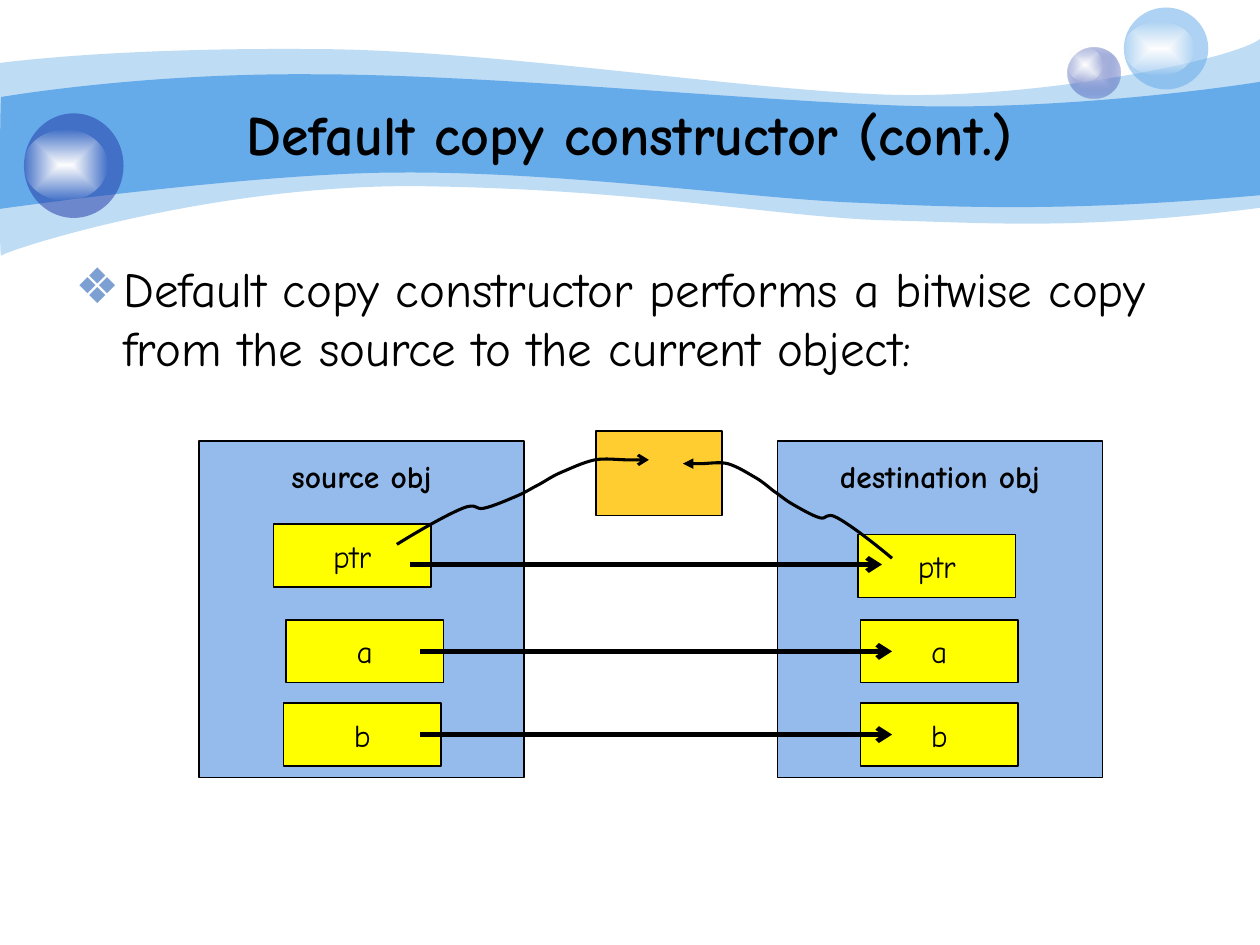
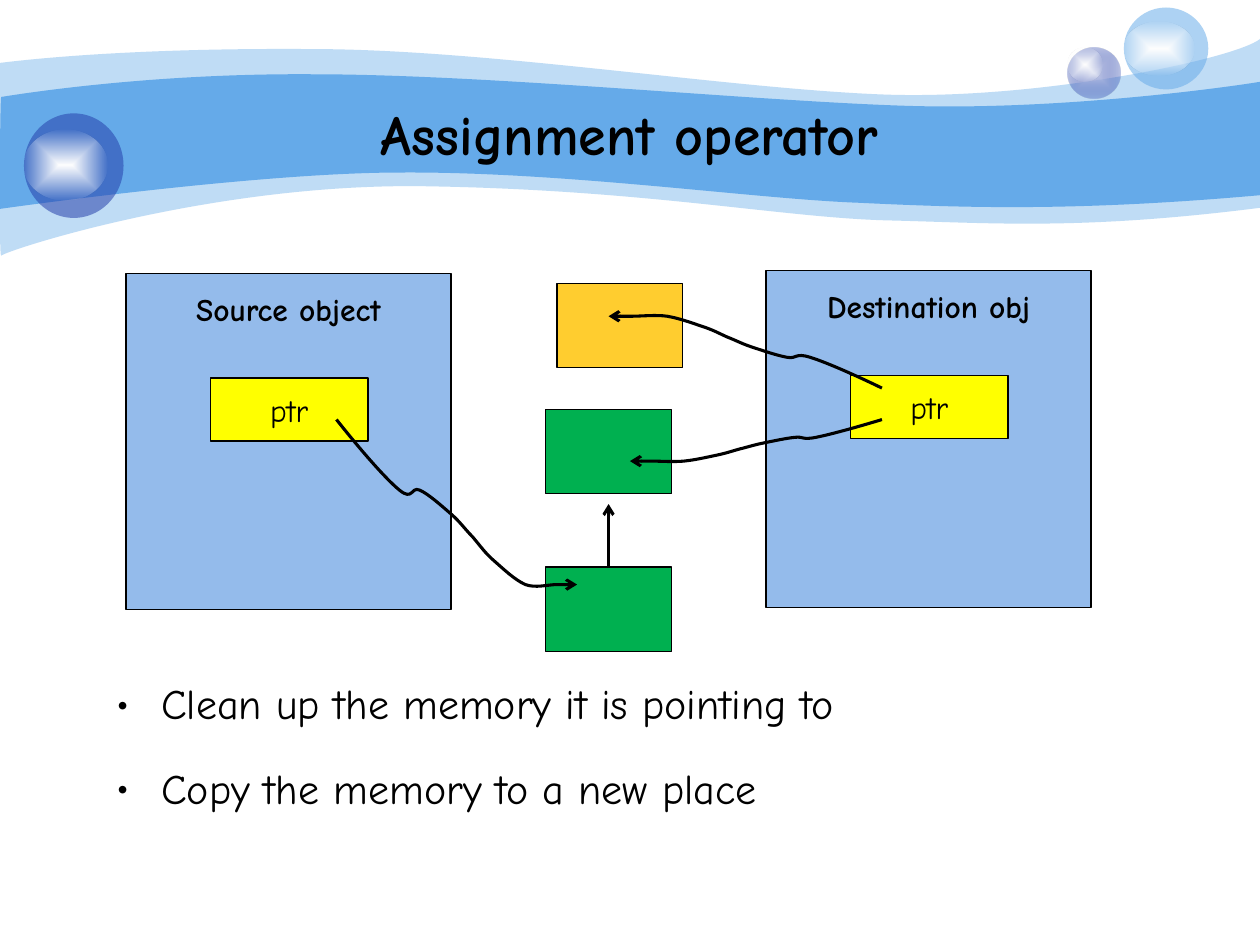
"""Build two slides on copying objects that hold a pointer."""
import dataclasses
import typing

import pptx
import pptx.dml.color
import pptx.enum.shapes
import pptx.enum.text
import pptx.oxml
import pptx.oxml.ns
import pptx.util

Inches = pptx.util.Inches
Pt = pptx.util.Pt
qn = pptx.oxml.ns.qn
SHAPES = pptx.enum.shapes.MSO_SHAPE
ALIGN = pptx.enum.text.PP_ALIGN
ANCHOR = pptx.enum.text.MSO_ANCHOR
Point = tuple[float, float]

COLORS = {
    "ink": "000000",
    "sky": "65AAE9",
    "navy": "233DA9",
    "lilac": "C7CEE9",
    "white": "FFFFFF",
    "object": "94BBEB",
    "field": "FFFF00",
    "old_memory": "FFCD2F",
    "new_memory": "00B050",
    "diamond": "7DA0D3",
}
FONT = "Comic Neue"
FONTS = {
    "title": {"name": FONT, "size": Pt(32), "bold": True},
    "body": {"name": FONT, "size": Pt(28), "bold": False},
    "step": {"name": FONT, "size": Pt(24), "bold": False},
    "object": {"name": FONT, "size": Pt(18), "bold": True},
    "field": {"name": FONT, "size": Pt(18), "bold": False},
}
FRAMES = {
    "title": {"word_wrap": True, "vertical_anchor": ANCHOR.MIDDLE},
    "body": {"word_wrap": True, "vertical_anchor": ANCHOR.TOP},
    "step": {"word_wrap": True, "vertical_anchor": ANCHOR.TOP},
    "object": {"word_wrap": False, "vertical_anchor": ANCHOR.TOP, "margin_top": Inches(0.13)},
    "field": {"word_wrap": False, "vertical_anchor": ANCHOR.MIDDLE},
}
BOX_SIZES = {
    "object": (2.58, 2.67),
    "field": (1.25, 0.5),
    "old_memory": (1, 0.67),
    "new_memory": (1, 0.67),
}

PALE_WAVE = (
    [(0, 0.5), (0.24, 0.47), (1.07, 0.38), (2.47, 0.39), (3.86, 0.39), (5.75, 0.7),
     (6.99, 0.75), (8.22, 0.8), (9.8, 0.47), (10, 0.31)],
    [(10, 1.65), (8.58, 1.83), (7.87, 1.77), (7.05, 1.75), (6.22, 1.73), (5.15, 1.51),
     (3.43, 1.48), (1.72, 1.44), (0.04, 1.99), (0.01, 2.03), (-0.01, 2.08), (0, 0.75),
     (0, 0.5)],
)
BRIGHT_WAVE = (
    [(0.01, 0.77), (0.02, 0.77), (1.1, 0.58), (2.48, 0.59), (3.86, 0.59), (5.95, 0.8),
     (7.18, 0.84), (8.41, 0.88), (9.76, 0.69), (10, 0.65)],
    [(10, 1.55), (8.53, 1.68), (7.65, 1.65), (6.82, 1.61), (5.99, 1.58), (4.47, 1.36),
     (3.17, 1.37), (2.03, 1.37), (-0.02, 1.66), (-0.01, 1.66), (0, 1.66), (0, 0.77),
     (0.01, 0.77)],
)
SQUIGGLE = [
    (0, 0), (0.19, 0.24), (0.39, 0.47), (0.5, 0.56), (0.61, 0.65), (0.59, 0.53),
    (0.66, 0.56), (0.73, 0.59), (0.84, 0.69), (0.91, 0.75), (0.98, 0.81), (1.02, 0.87),
    (1.08, 0.93), (1.14, 1), (1.18, 1.06), (1.25, 1.12), (1.32, 1.18), (1.41, 1.27),
    (1.5, 1.31), (1.58, 1.34), (1.68, 1.31), (1.75, 1.31), (1.82, 1.31), (1.86, 1.31),
    (1.91, 1.31),
]


@dataclasses.dataclass(frozen=True)
class Box:
    role: str
    left: float
    top: float
    label: str = ""


@dataclasses.dataclass(frozen=True)
class Pointer:
    start: Point
    end: Point
    head: str = "arrow"


@dataclasses.dataclass(frozen=True)
class Stop:
    color: str
    alpha: int


@dataclasses.dataclass(frozen=True)
class Bubble:
    left: float
    top: float
    width: float
    height: float
    stops: tuple[Stop, ...]


GLOW = (Stop("white", 100), Stop("white", 0))
BUBBLES = [
    Bubble(8.47, 0.38, 0.42, 0.4, (Stop("lilac", 100), Stop("navy", 31))),
    Bubble(8.47, 0.38, 0.28, 0.27, GLOW),
    Bubble(8.92, 0.06, 0.67, 0.65, (Stop("sky", 53),)),
    Bubble(8.92, 0.17, 0.56, 0.43, GLOW),
    Bubble(0.19, 0.9, 0.79, 0.83, (Stop("navy", 53),)),
    Bubble(0.19, 1.03, 0.66, 0.56, GLOW),
]


def rgb(name: str) -> pptx.dml.color.RGBColor:
    return pptx.dml.color.RGBColor.from_string(COLORS[name])


def apply(target: typing.Any, values: dict[str, typing.Any]) -> None:
    for name, value in values.items():
        setattr(target, name, value)


def xml(tag: str, attributes: str = "", content: str = "") -> typing.Any:
    namespace = pptx.oxml.ns.nsdecls("a")
    return pptx.oxml.parse_xml(f"<a:{tag} {namespace} {attributes}>{content}</a:{tag}>")


def color_xml(stop: Stop) -> str:
    return f'<a:srgbClr val="{COLORS[stop.color]}"><a:alpha val="{stop.alpha * 1000}"/></a:srgbClr>'


def fill_translucent(shape: typing.Any, stops: tuple[Stop, ...]) -> None:
    shape.shadow.inherit = False
    shape.line.fill.background()
    shape.fill.background()
    if len(stops) == 1:
        paint = xml("solidFill", content=color_xml(stops[0]))
    else:
        ramp = "".join(
            f'<a:gs pos="{position}">{color_xml(stop)}</a:gs>'
            for position, stop in zip((0, 100000), stops)
        )
        center = '<a:fillToRect l="50000" t="50000" r="50000" b="50000"/>'
        paint = xml("gradFill", 'rotWithShape="1"',
                    f'<a:gsLst>{ramp}</a:gsLst><a:path path="rect">{center}</a:path>')
    properties = shape.element.spPr
    properties.replace(properties.find(qn("a:noFill")), paint)


def add_curves(slide: typing.Any, chains: typing.Sequence[list[Point]], close: bool) -> typing.Any:
    corners = [(Inches(x), Inches(y)) for chain in chains for x, y in chain]
    builder = slide.shapes.build_freeform(*corners[0], scale=1.0)
    builder.add_line_segments(corners[1:], close=close)
    outline = builder.convert_to_shape()
    segments = outline.element.findall(".//" + qn("a:lnTo"))
    offset = 0
    for chain in chains:
        for first in range(offset, offset + len(chain) - 1, 3):
            bend = xml("cubicBezTo")
            segments[first].addprevious(bend)
            for segment in segments[first:first + 3]:
                bend.append(segment[0])
                segment.getparent().remove(segment)
        offset += len(chain)
    return outline


def write(frame: typing.Any, text: str, role: str, align: typing.Any) -> typing.Any:
    apply(frame, FRAMES[role])
    paragraph = frame.paragraphs[0]
    paragraph.alignment = align
    run = paragraph.add_run()
    run.text = text
    apply(run.font, FONTS[role])
    run.font.color.rgb = rgb("ink")
    return paragraph


def add_text(slide: typing.Any, text: str, role: str, place: tuple[float, ...],
             align: typing.Any = ALIGN.LEFT) -> typing.Any:
    area = slide.shapes.add_textbox(*map(Inches, place))
    return write(area.text_frame, text, role, align)


def add_bullet(paragraph: typing.Any, symbol: str, color: str, indent: float) -> None:
    properties = paragraph._p.get_or_add_pPr()
    properties.set("marL", str(Inches(indent)))
    properties.set("indent", str(-Inches(indent)))
    properties.append(xml("buClr", content=f'<a:srgbClr val="{COLORS[color]}"/>'))
    properties.append(xml("buFont", f'typeface="{FONT}"'))
    properties.append(xml("buChar", f'char="{symbol}"'))


def add_box(slide: typing.Any, box: Box) -> typing.Any:
    place = (box.left, box.top, *BOX_SIZES[box.role])
    block = slide.shapes.add_shape(SHAPES.RECTANGLE, *map(Inches, place))
    block.shadow.inherit = False
    block.fill.solid()
    block.fill.fore_color.rgb = rgb(box.role)
    block.line.color.rgb = rgb("ink")
    block.line.width = Pt(0.75)
    if box.label:
        write(block.text_frame, box.label, box.role, ALIGN.CENTER)
    return block


def style_arrow(arrow: typing.Any, width: float, head: str = "arrow") -> None:
    arrow.line.color.rgb = rgb("ink")
    arrow.line.width = Pt(width)
    arrow.element.spPr.find(qn("a:ln")).append(xml("tailEnd", f'type="{head}"'))


def add_pointer(slide: typing.Any, pointer: Pointer) -> None:
    (x0, y0), (x1, y1) = pointer.start, pointer.end
    width, height = SQUIGGLE[-1]
    controls = [(x0 + x / width * (x1 - x0), y0 + y / height * (y1 - y0)) for x, y in SQUIGGLE]
    curve = add_curves(slide, [controls], close=False)
    curve.fill.background()
    curve.shadow.inherit = False
    style_arrow(curve, 1.75, pointer.head)


def add_arrow(slide: typing.Any, start: Point, end: Point, width: float) -> typing.Any:
    straight = pptx.enum.shapes.MSO_CONNECTOR.STRAIGHT
    arrow = slide.shapes.add_connector(straight, *map(Inches, (*start, *end)))
    style_arrow(arrow, width)
    arrow.element.spPr.append(xml("effectLst"))
    return arrow


def decorate_layout(layout: typing.Any, slide: typing.Any) -> None:
    for placeholder in list(layout.placeholders):
        layout.shapes.element.remove(placeholder.element)
    for wave, alpha in ((PALE_WAVE, 41), (BRIGHT_WAVE, 100)):
        fill_translucent(add_curves(slide, wave, close=True), (Stop("sky", alpha),))
    for bubble in BUBBLES:
        place = (bubble.left, bubble.top, bubble.width, bubble.height)
        ball = slide.shapes.add_shape(SHAPES.OVAL, *map(Inches, place))
        fill_translucent(ball, bubble.stops)
    for decoration in list(slide.shapes):
        layout.shapes.element.append(decoration.element)


def build_copy_constructor(slide: typing.Any) -> None:
    add_text(slide, "Default copy constructor (cont.)", "title", (0, 0.75, 10, 0.62), ALIGN.CENTER)
    summary = add_text(
        slide,
        "Default copy constructor performs a bitwise copy from the source to the current object:",
        "body", (0.5, 2, 9, 4.92))
    add_bullet(summary, "❖", "diamond", 0.38)
    for box in (
        Box("object", 1.58, 3.5, "source obj"),
        Box("object", 6.17, 3.5, "destination obj"),
        Box("field", 2.25, 5.58, "b"),
        Box("field", 6.83, 5.58, "b"),
        Box("field", 2.27, 4.92, "a"),
        Box("field", 6.83, 4.92, "a"),
        Box("old_memory", 4.73, 3.42),
        Box("field", 2.17, 4.16, "ptr"),
        Box("field", 6.81, 4.24, "ptr"),
    ):
        add_box(slide, box)
    for left, y in ((3.33, 5.83), (3.33, 5.17), (3.25, 4.48)):
        add_arrow(slide, (left, y), (left + 3.75, y), 2.75)
    add_pointer(slide, Pointer((3.15, 4.32), (5.15, 3.65)))
    add_pointer(slide, Pointer((7.08, 4.43), (5.42, 3.68), "triangle"))


def build_assignment(slide: typing.Any) -> None:
    add_text(slide, "Assignment operator", "title", (0, 0.75, 10, 0.62), ALIGN.CENTER)
    for box in (
        Box("object", 1, 2.17, "Source object"),
        Box("field", 1.67, 3, "ptr"),
        Box("object", 6.08, 2.15, "Destination obj"),
        Box("field", 6.75, 2.98, "ptr"),
        Box("old_memory", 4.42, 2.25),
        Box("new_memory", 4.33, 3.25),
    ):
        add_box(slide, box)
    source_memory = add_box(slide, Box("new_memory", 4.33, 4.5))
    for pointer in (
        Pointer((7, 3.08), (4.83, 2.51)),
        Pointer((2.67, 3.33), (4.58, 4.64)),
        Pointer((7, 3.33), (5, 3.66)),
    ):
        add_pointer(slide, pointer)
    add_arrow(slide, (4.83, 4.5), (4.83, 4), 1.75).begin_connect(source_memory, 0)
    steps = ("Clean up the memory it is pointing to", "Copy the memory to a new place")
    for row, step in enumerate(steps):
        line = add_text(slide, step, "step", (0.83, 5.33 + row * 0.67, 7.92, 0.5))
        add_bullet(line, "•", "ink", 0.35)


def main() -> None:
    deck = pptx.Presentation()
    deck.slide_width, deck.slide_height = Inches(10), Inches(7.5)
    blank = deck.slide_layouts[6]
    first, second = (deck.slides.add_slide(blank) for _ in range(2))
    decorate_layout(blank, first)
    build_copy_constructor(first)
    build_assignment(second)
    deck.save("out.pptx")


if __name__ == "__main__":
    main()
